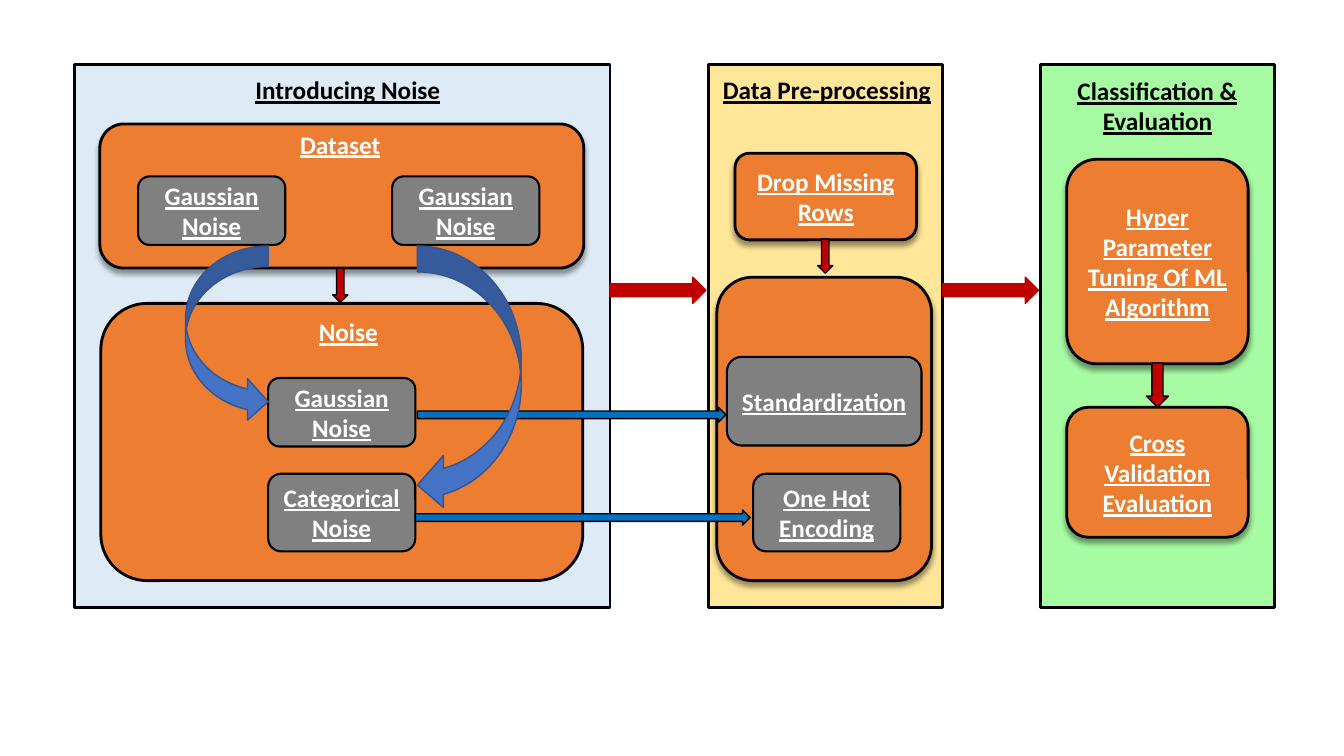
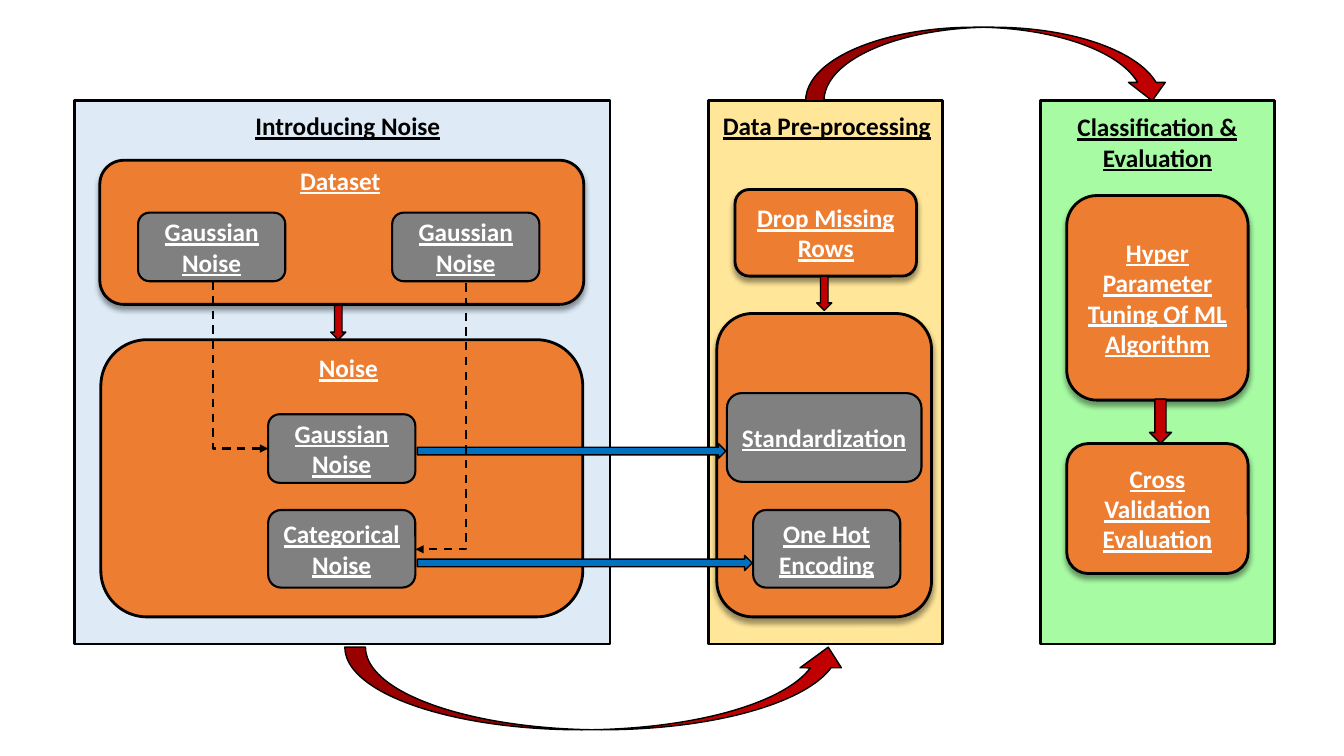
import pptx
import pptx.dml.color
import pptx.enum.dml
import pptx.enum.shapes
import pptx.enum.text
import pptx.oxml
import pptx.oxml.ns
import pptx.util

Inches = pptx.util.Inches
Pt = pptx.util.Pt
RGBColor = pptx.dml.color.RGBColor
SHAPE = pptx.enum.shapes.MSO_SHAPE
ANCHOR = pptx.enum.text.MSO_ANCHOR
qn = pptx.oxml.ns.qn

BLACK = RGBColor(0x00, 0x00, 0x00)
WHITE = RGBColor(0xFF, 0xFF, 0xFF)
PALE = RGBColor(0xDE, 0xEB, 0xF7)
SAND = RGBColor(0xFF, 0xE6, 0x99)
MINT = RGBColor(0xA7, 0xFB, 0xA3)
ORANGE = RGBColor(0xED, 0x7D, 0x31)
GREY = RGBColor(0x80, 0x80, 0x80)
RED = RGBColor(0xC0, 0x00, 0x00)
BLUE = RGBColor(0x00, 0x70, 0xC0)
AZURE = RGBColor(0x44, 0x72, 0xC4)
NAVY = RGBColor(0x32, 0x54, 0x91)

FONT = {"name": "Calibri", "size": Pt(18), "bold": True, "underline": True}
FRAME = {"word_wrap": True, "vertical_anchor": ANCHOR.MIDDLE}
LABEL = {"word_wrap": True, "vertical_anchor": ANCHOR.TOP,
         "auto_size": pptx.enum.text.MSO_AUTO_SIZE.SHAPE_TO_FIT_TEXT}

SHADOW = (
    f'<a:effectLst {pptx.oxml.ns.nsdecls("a")}>'
    f'<a:outerShdw blurRad="{Pt(4)}" dist="{Pt(3)}" dir="5400000" '
    'algn="t" rotWithShape="0"><a:srgbClr val="000000">'
    '<a:alpha val="40000"/></a:srgbClr></a:outerShdw></a:effectLst>'
)


def apply(target, values):
    for key, value in values.items():
        setattr(target, key, value)


class Board:
    """Holds the current slide; heights count from the top of the panels."""

    def __init__(self, deck, top):
        self.shapes = deck.slides.add_slide(deck.slide_layouts[6]).shapes
        self.top = top

    def place(self, x, y, w, h):
        return Inches(x), Inches(self.top + y), Inches(w), Inches(h)

    def caption(self, shape, text, color, frame):
        apply(shape.text_frame, frame)
        para = shape.text_frame.paragraphs[0]
        para.alignment = pptx.enum.text.PP_ALIGN.CENTER
        run = para.add_run()
        run.text = text
        apply(run.font, FONT)
        run.font.color.rgb = color

    def draw(self, kind, spot, fill, line=BLACK, width=1):
        shape = self.shapes.add_shape(kind, *self.place(*spot))
        shape.shadow.inherit = False
        shape.fill.solid()
        shape.fill.fore_color.rgb = fill
        shape.line.color.rgb = line
        shape.line.width = Pt(width)
        return shape

    def label(self, text, spot, color):
        box = self.shapes.add_textbox(*self.place(*spot))
        self.caption(box, text, color, LABEL)

    def panel(self, x, w, fill):
        self.draw(SHAPE.RECTANGLE, (x, 0, w, 5.39), fill, width=2)

    def block(self, spot, text="", shade=True):
        shape = self.draw(SHAPE.ROUNDED_RECTANGLE, spot, ORANGE, width=2)
        if shade:
            props = shape.element.spPr
            props.remove(props.find(qn("a:effectLst")))
            props.append(pptx.oxml.parse_xml(SHADOW))
        if text:
            self.caption(shape, text, WHITE, FRAME)

    def node(self, text, spot):
        shape = self.draw(SHAPE.ROUNDED_RECTANGLE, spot, GREY, width=1.5)
        self.caption(shape, text, WHITE, FRAME)

    def down(self, x, y, w=0.15, h=0.34):
        self.draw(SHAPE.DOWN_ARROW, (x, y, w, h), RED)

    def flow(self, x, y, w):
        self.draw(SHAPE.RIGHT_ARROW, (x, y, w, 0.15), BLUE)

    def elbow(self, start, end):
        """Dashed arrow that runs down from start, then sideways to end."""
        (x1, y1), (x2, y2) = start, end
        midx, midy = (x1 + x2) / 2, self.top + (y1 + y2) / 2
        side = 1 if x2 < x1 else -1
        half, rise = side * (y2 - y1) / 2, abs(x2 - x1) / 2
        wire = self.shapes.add_connector(
            pptx.enum.shapes.MSO_CONNECTOR.ELBOW,
            Inches(midx - half), Inches(midy - rise),
            Inches(midx + half), Inches(midy + rise))
        apply(wire.line, {"width": Pt(1.5),
                          "dash_style": pptx.enum.dml.MSO_LINE.DASH})
        wire.line.color.rgb = BLACK
        props = wire.element.spPr
        props.find(qn("a:prstGeom")).set("prst", "bentConnector2")
        turn = 90 if side > 0 else 270
        props.find(qn("a:xfrm")).set("rot", str(turn * 60000))
        line = props.find(qn("a:ln"))
        line.append(line.makeelement(qn("a:tailEnd"), {"type": "triangle"}))
        props.append(props.makeelement(qn("a:effectLst"), {}))


def stage(deck, top):
    """Start a slide with the three panels and all their boxes."""
    board = Board(deck, top)
    for x, w, fill in ((0.74, 5.31, PALE), (7.03, 2.32, SAND),
                       (10.32, 2.32, MINT)):
        board.panel(x, w, fill)

    board.block((0.99, 0.59, 4.8, 1.43))
    board.block((1, 2.37, 4.78, 2.75), shade=False)
    board.block((7.11, 2.11, 2.13, 3.01))
    for text, x, y, h in (
            ("Drop Missing Rows", 7.29, 0.88, 0.86),
            ("Hyper Parameter Tuning Of ML Algorithm", 10.58, 0.94, 2.03),
            ("Cross Validation Evaluation", 10.58, 3.4, 1.29)):
        board.block((x, y, 1.8, h), text)

    for x, y in ((1.37, 1.11), (3.89, 1.11), (2.66, 3.11)):
        board.node("Gaussian Noise", (x, y, 1.46, 0.68))
    board.node("Standardization", (7.21, 2.9, 1.93, 0.88))
    for text, x in (("Categorical Noise", 2.66), ("One Hot Encoding", 7.47)):
        board.node(text, (x, 4.06, 1.46, 0.77))

    for text, x, y, h in (("Introducing Noise", 2.29, 0.05, 0.4),
                          ("Data Pre-processing", 7.04, 0.05, 0.4),
                          ("Classification & Evaluation", 10.32, 0.06, 0.71)):
        board.label(text, (x, y, 2.32, h), BLACK)
    for text, x, y in (("Dataset", 2.76, 0.59), ("Noise", 2.84, 2.45)):
        board.label(text, (x, y, 1.23, 0.4), WHITE)
    return board


def block_flow(deck):
    """Panels joined by straight red arrows, noise by curved blue ones."""
    board = stage(deck, 0.64)
    board.flow(4.12, 4.42, 3.32)
    board.flow(4.14, 3.4, 3.06)
    for kind, spot in (
            (SHAPE.CURVED_RIGHT_ARROW, (1.84, 1.8, 0.82, 1.75)),
            (SHAPE.CURVED_LEFT_ARROW, (4.14, 1.8, 1.03, 2.63))):
        board.draw(kind, spot, AZURE, NAVY)
    for x in (6.05, 9.35):
        board.draw(SHAPE.RIGHT_ARROW, (x, 2.11, 0.95, 0.26), RED, RED)
    board.down(11.37, 2.96, 0.22, 0.44)
    board.down(3.3, 2.02)
    board.down(8.11, 1.73)


def curve_flow(deck):
    """Panels joined by curved red arrows, noise by dashed elbows."""
    board = stage(deck, 1)
    board.flow(4.14, 4.51, 3.32)
    board.flow(4.14, 3.4, 3.06)
    board.elbow((2.11, 1.79), (2.66, 3.45))
    board.elbow((4.62, 1.81), (4.12, 4.45))
    for kind, spot in (
            (SHAPE.CURVED_UP_ARROW, (3.42, 5.42, 5, 0.82)),
            (SHAPE.CURVED_DOWN_ARROW, (7.99, -0.73, 3.62, 0.73))):
        board.draw(kind, spot, RED)
    board.down(11.4, 2.96, 0.22, 0.44)
    board.down(3.28, 2.03)
    board.down(8.1, 1.74)


def main():
    deck = pptx.Presentation()
    apply(deck, {"slide_width": Inches(13.33), "slide_height": Inches(7.5)})
    block_flow(deck)
    curve_flow(deck)
    deck.save("out.pptx")


if __name__ == "__main__":
    main()
